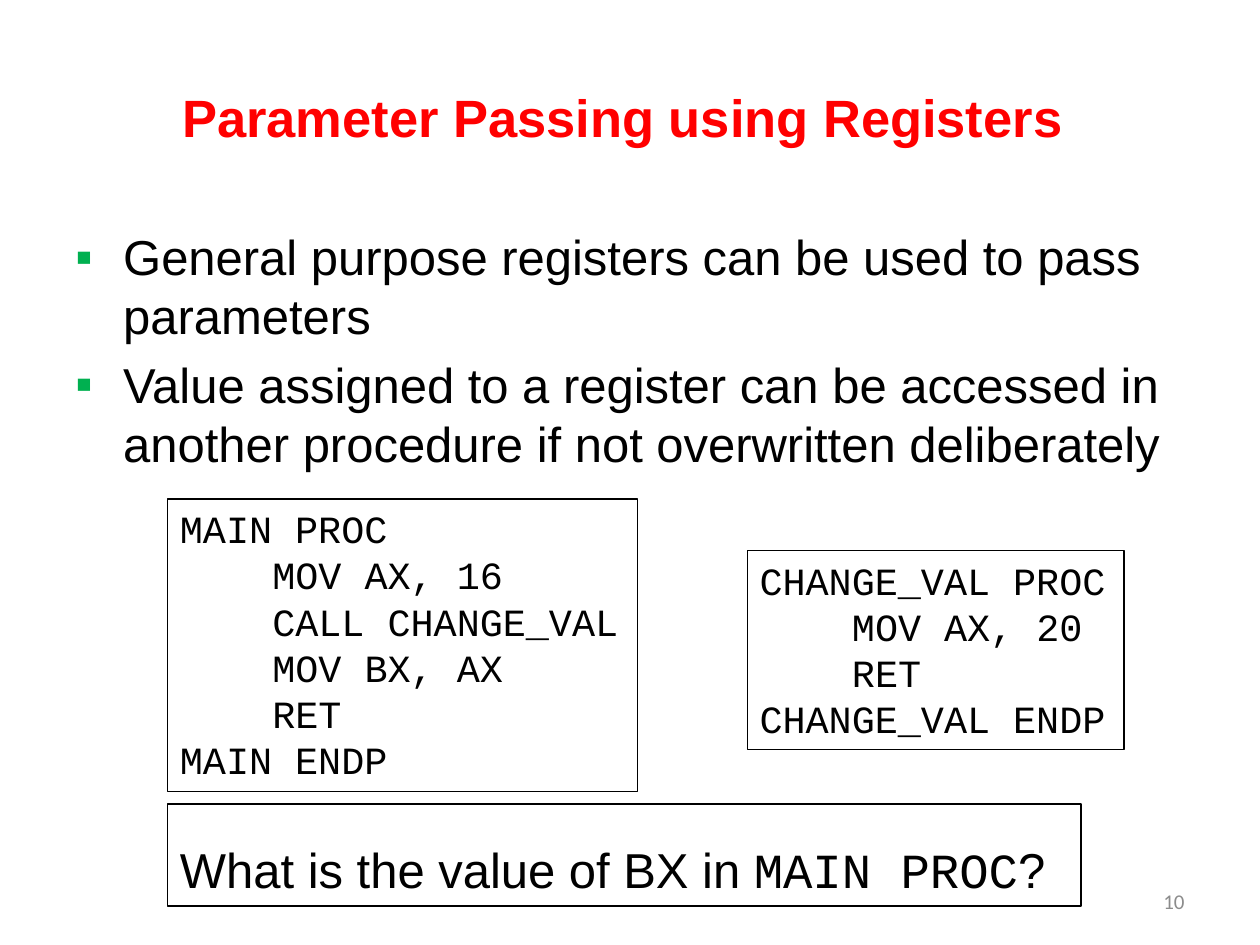
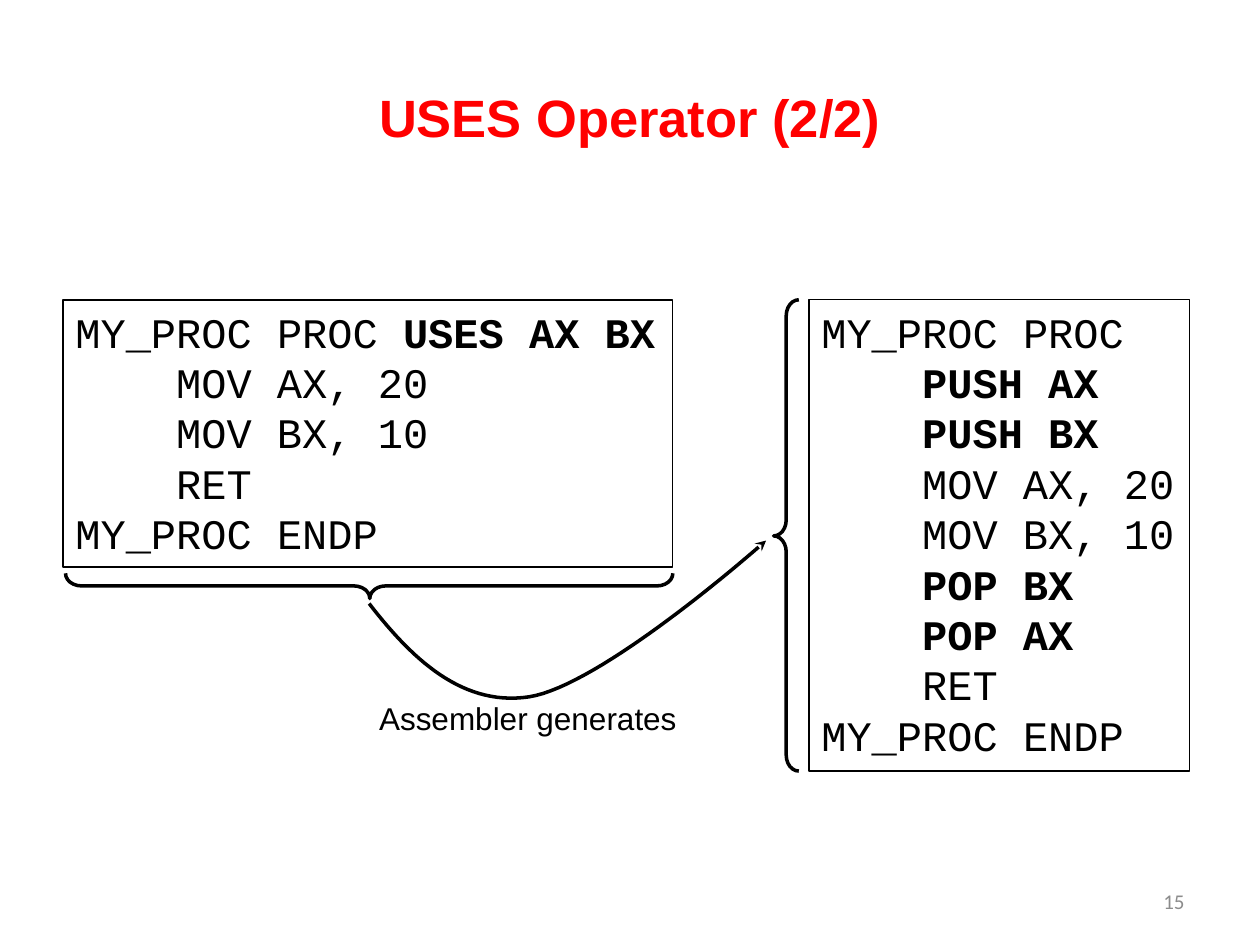
from dataclasses import dataclass
from typing import NamedTuple

from lxml import etree
from pptx import Presentation
from pptx.dml.color import RGBColor
from pptx.enum.shapes import MSO_SHAPE
from pptx.enum.text import MSO_ANCHOR, PP_ALIGN
from pptx.oxml.ns import qn
from pptx.util import Inches, Pt


# Theme: colours, fonts and sizes
@dataclass(frozen=True)
class Theme:
    title: RGBColor = RGBColor(0xFF, 0x00, 0x00)
    ink: RGBColor = RGBColor(0x00, 0x00, 0x00)
    number: RGBColor = RGBColor(0x8C, 0x8C, 0x8C)
    bullet: str = "00B050"
    sans: str = "Arial"
    mono: str = "Courier New"
    footer: str = "Calibri"
    title_size: float = 30
    body_size: float = 28
    label_size: float = 18
    number_size: float = 12
    thin: float = 0.75
    thick: float = 2


THEME = Theme()
INDENT_CHARS = 4
MONO_WIDTH = 0.6  # character width as a share of the type size


class Box(NamedTuple):
    left: float
    top: float
    width: float
    height: float

    def lengths(self) -> list:
        return [Inches(v) for v in self]


class CodeLine(NamedTuple):
    text: str = ""
    bold: str = ""
    indented: bool = True


@dataclass(frozen=True)
class Listing:
    box: Box
    size: float
    lines: list


# Text helpers
def add_run(p, text: str, *, size: float, font: str = THEME.sans,
            color: RGBColor = THEME.ink, bold: bool = False) -> None:
    r = p.add_run()
    r.text = text
    r.font.size, r.font.name, r.font.bold = Pt(size), font, bold
    r.font.color.rgb = color


def paragraph(tf, index: int):
    return tf.paragraphs[0] if index == 0 else tf.add_paragraph()


def set_indent(p, left: float, first: float = 0) -> None:
    pPr = p._p.get_or_add_pPr()
    pPr.set("marL", str(Inches(left)))
    pPr.set("indent", str(Inches(first)))


def text_area(s, box: Box, anchor=MSO_ANCHOR.TOP):
    tf = s.shapes.add_textbox(*box.lengths()).text_frame
    tf.word_wrap = True
    tf.vertical_anchor = anchor
    return tf


# Shape helpers
def outline(shape, width: float) -> None:
    shape.shadow.inherit = False
    shape.fill.background()
    shape.line.color.rgb = THEME.ink
    shape.line.width = Pt(width)


def framed_area(s, box: Box):
    shape = s.shapes.add_shape(MSO_SHAPE.RECTANGLE, *box.lengths())
    outline(shape, THEME.thin)
    tf = shape.text_frame
    tf.word_wrap = True
    tf.vertical_anchor = MSO_ANCHOR.TOP
    tf.paragraphs[0].alignment = PP_ALIGN.LEFT
    return tf


def draw_listing(s, listing: Listing) -> None:
    tf = framed_area(s, listing.box)
    for i, line in enumerate(listing.lines):
        p = paragraph(tf, i)
        p.alignment = PP_ALIGN.LEFT
        if line.indented:
            set_indent(p, INDENT_CHARS * MONO_WIDTH * listing.size / 72)
        for text, bold in ((line.text, False), (line.bold, True)):
            if text:
                add_run(p, text, size=listing.size, font=THEME.mono, bold=bold)


def draw_bullets(s, box: Box, items: list) -> None:
    tf = text_area(s, box)
    for i, item in enumerate(items):
        p = paragraph(tf, i)
        p.space_before = Pt(0.2 * THEME.body_size)
        set_indent(p, 0.38, -0.38)
        pPr = p._p.get_or_add_pPr()
        color = etree.SubElement(pPr, qn("a:buClr"))
        etree.SubElement(color, qn("a:srgbClr"), val=THEME.bullet)
        etree.SubElement(pPr, qn("a:buFont"), typeface=THEME.sans)
        etree.SubElement(pPr, qn("a:buChar"), char="▪")
        add_run(p, item, size=THEME.body_size)


def draw_brace(s, box: Box, rotation: float = 0) -> None:
    brace = s.shapes.add_shape(MSO_SHAPE.LEFT_BRACE, *box.lengths())
    brace.adjustments[0], brace.adjustments[1] = 0.631, 0.501
    brace.rotation = rotation
    outline(brace, THEME.thick)


def bezier(points: list, steps: int = 30) -> list:
    """Points along a cubic curve, without its start."""
    curve = []
    for i in range(1, steps + 1):
        t = i / steps
        weights = ((1 - t) ** 3, 3 * t * (1 - t) ** 2, 3 * t * t * (1 - t), t ** 3)
        curve.append(tuple(sum(w * pt[axis] for w, pt in zip(weights, points))
                           for axis in (0, 1)))
    return curve


def draw_curved_arrow(s, points: list) -> None:
    # The builder rounds coordinates to whole units, so it gets full lengths
    points = [(Inches(x), Inches(y)) for x, y in points]
    builder = s.shapes.build_freeform(*points[0])
    for i in range(0, len(points) - 1, 3):
        builder.add_line_segments(bezier(points[i:i + 4]), close=False)
    arrow = builder.convert_to_shape()
    outline(arrow, THEME.thick)
    etree.SubElement(arrow.line._get_or_add_ln(), qn("a:tailEnd"), type="stealth")


# Shared slide frame: title and slide number
def new_slide(prs, title: str, number: int):
    s = prs.slides.add_slide(prs.slide_layouts[6])
    p = text_area(s, Box(0.5, 0.3, 9, 1.25), MSO_ANCHOR.MIDDLE).paragraphs[0]
    p.alignment = PP_ALIGN.CENTER
    add_run(p, title, size=THEME.title_size, color=THEME.title, bold=True)
    p = text_area(s, Box(7.17, 6.95, 2.33, 0.4), MSO_ANCHOR.MIDDLE).paragraphs[0]
    p.alignment = PP_ALIGN.RIGHT
    add_run(p, str(number), size=THEME.number_size, font=THEME.footer,
            color=THEME.number)
    return s


def registers_slide(prs) -> None:
    s = new_slide(prs, "Parameter Passing using Registers ", 10)
    draw_bullets(s, Box(0.5, 1.75, 9, 4.95), [
        "General purpose registers can be used to pass parameters",
        "Value assigned to a register can be accessed in another procedure "
        "if not overwritten deliberately",
    ])
    # Caller and called procedure
    draw_listing(s, Listing(Box(1.33, 3.96, 3.73, 2.32), 22, [
        CodeLine("MAIN PROC", indented=False),
        CodeLine("MOV AX, 16"),
        CodeLine("CALL CHANGE_VAL"),
        CodeLine("MOV BX, AX"),
        CodeLine("RET"),
        CodeLine("MAIN ENDP", indented=False),
    ]))
    draw_listing(s, Listing(Box(5.93, 4.37, 2.99, 1.58), 22, [
        CodeLine("CHANGE_VAL PROC", indented=False),
        CodeLine("MOV AX, 20"),
        CodeLine("RET"),
        CodeLine("CHANGE_VAL ENDP", indented=False),
    ]))
    # Question
    p = framed_area(s, Box(1.33, 6.38, 7.25, 0.81)).paragraphs[0]
    p.line_spacing = 1.5
    for text, font in (("What is the value of BX in ", THEME.sans),
                       ("MAIN PROC", THEME.mono), ("?", THEME.sans)):
        add_run(p, text, size=THEME.body_size, font=font)


def uses_slide(prs) -> None:
    s = new_slide(prs, "USES Operator (2/2)", 15)
    # Source code and the code generated from it
    draw_listing(s, Listing(Box(0.5, 2.38, 4.84, 2.12), 24, [
        CodeLine("MY_PROC PROC ", "USES AX BX", indented=False),
        CodeLine("MOV AX, 20"),
        CodeLine("MOV BX, 10"),
        CodeLine("RET"),
        CodeLine("MY_PROC ENDP", indented=False),
    ]))
    draw_listing(s, Listing(Box(6.42, 2.38, 3.02, 3.74), 24, [
        CodeLine("MY_PROC PROC", indented=False),
        CodeLine(bold="PUSH AX"),
        CodeLine(bold="PUSH BX"),
        CodeLine("MOV AX, 20"),
        CodeLine("MOV BX, 10"),
        CodeLine(bold="POP BX"),
        CodeLine(bold="POP AX"),
        CodeLine("RET"),
        CodeLine("MY_PROC ENDP", indented=False),
    ]))
    # Braces joined by the arrow
    draw_curved_arrow(s, [(2.93, 4.79), (3.27, 5.23), (3.67, 5.61), (4.2, 5.53),
                          (4.72, 5.45), (5.81, 4.53), (6.08, 4.29)])
    draw_brace(s, Box(6.14, 2.38, 0.2, 3.74))
    draw_brace(s, Box(2.83, 2.24, 0.2, 4.82), rotation=270)
    p = text_area(s, Box(2.91, 5.5, 2.59, 0.4)).paragraphs[0]
    add_run(p, "Assembler generates", size=THEME.label_size)


prs = Presentation()
prs.slide_width, prs.slide_height = Inches(10), Inches(7.5)
registers_slide(prs)
uses_slide(prs)
prs.save("out.pptx")
